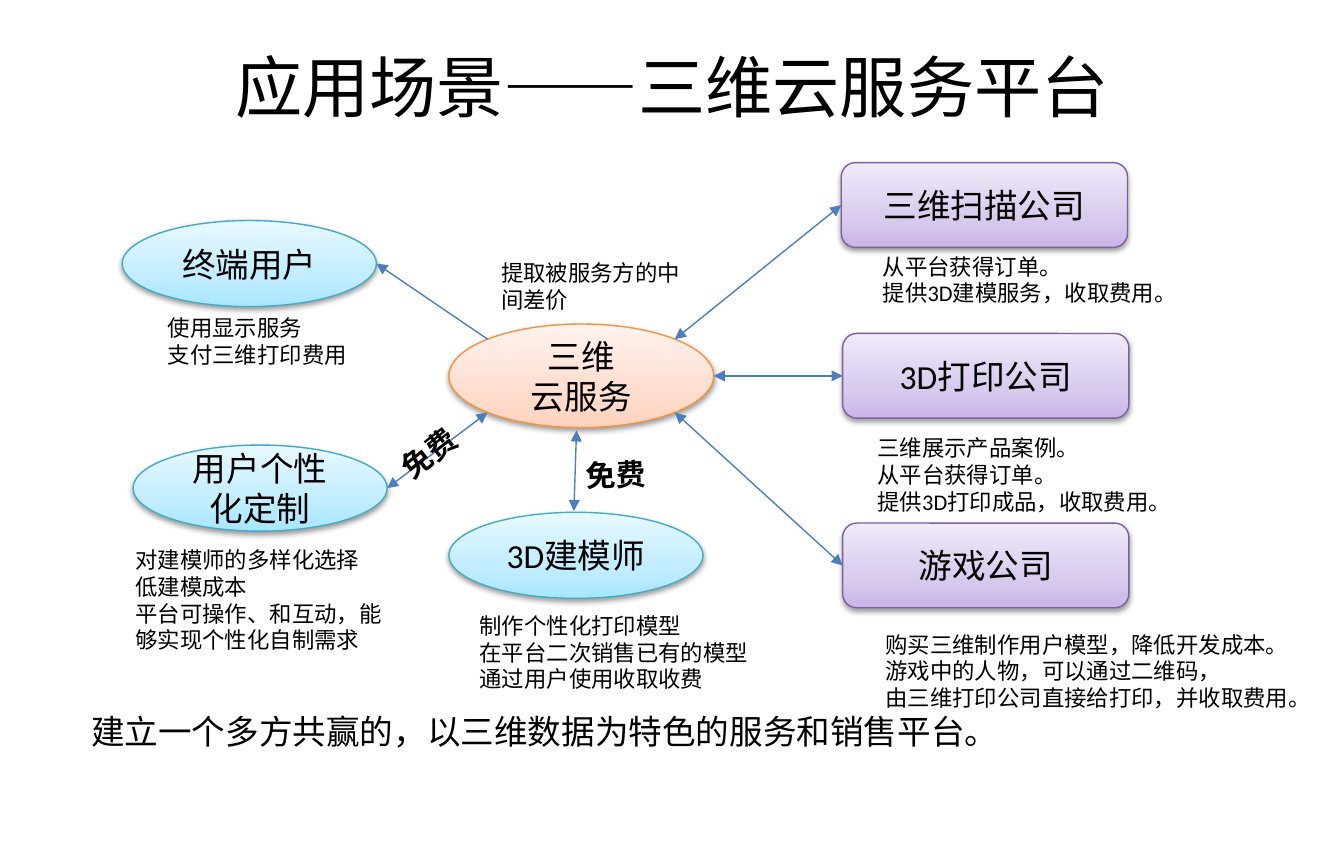
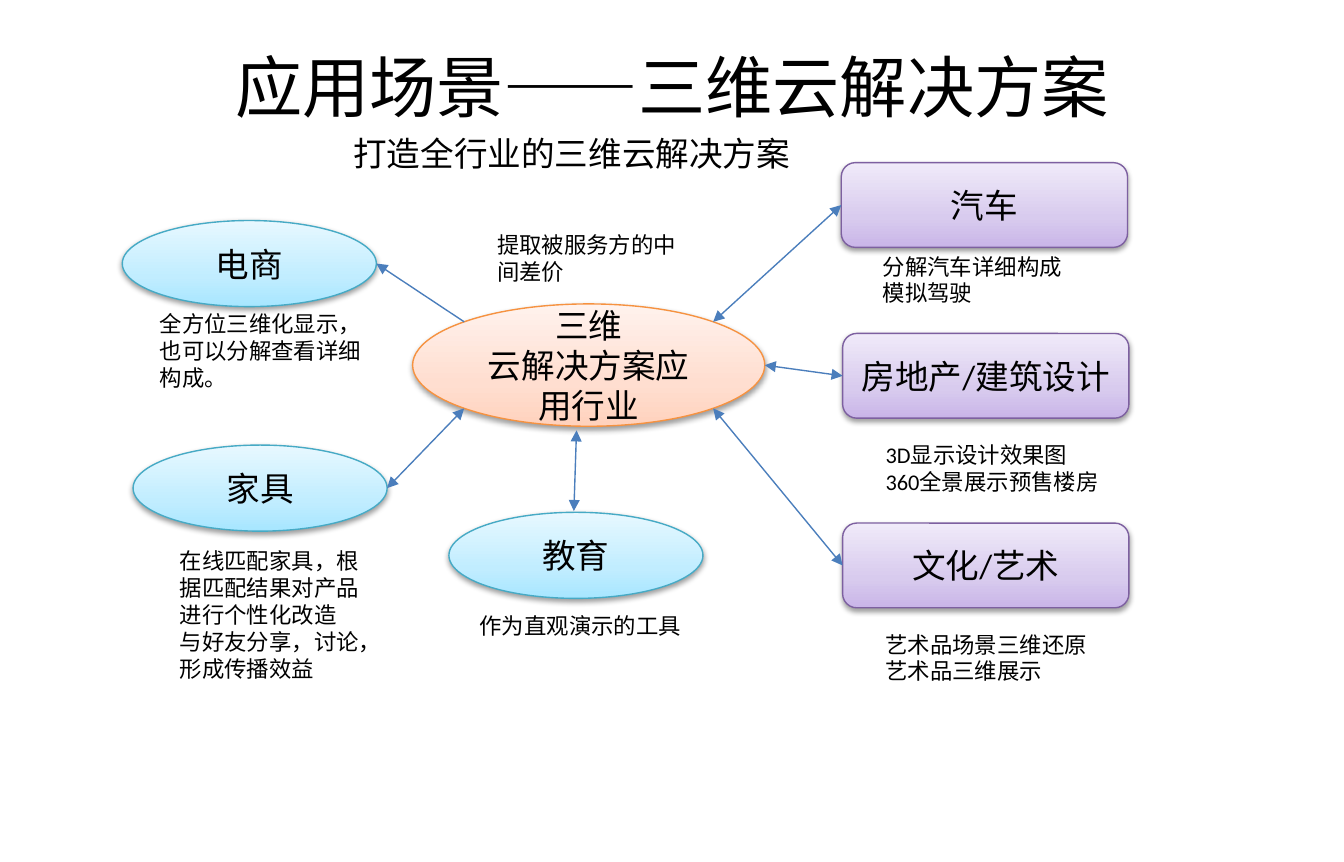
from dataclasses import dataclass
from math import sqrt

from lxml.etree import SubElement
from pptx import Presentation
from pptx.dml.color import RGBColor
from pptx.enum.shapes import MSO_CONNECTOR, MSO_SHAPE
from pptx.enum.text import MSO_ANCHOR, MSO_AUTO_SIZE, PP_ALIGN
from pptx.oxml.ns import qn
from pptx.shapes.autoshape import Shape
from pptx.slide import Slide
from pptx.text.text import TextFrame
from pptx.util import Inches, Pt

FONT = "Calibri"
BLACK = RGBColor(0x00, 0x00, 0x00)
ARROW = RGBColor(0x4B, 0x7E, 0xBC)
GRADIENT_STOPS = (0, 35, 100)


@dataclass(frozen=True)
class Style:
    shape: MSO_SHAPE
    line: RGBColor
    gradient: tuple[RGBColor, RGBColor, RGBColor]


@dataclass(frozen=True)
class Box:
    x: float
    y: float
    w: float
    h: float

    def at(self, fx: float, fy: float) -> tuple[float, float]:
        return self.x + self.w * (1 + fx) / 2, self.y + self.h * (1 + fy) / 2


@dataclass(frozen=True)
class Note:
    box: Box
    lines: tuple[str, ...]
    size: int = 12
    wrap: bool = False
    bold: bool = False
    rotation: float = 0


@dataclass(frozen=True)
class Scene:
    title: str
    hub: Box
    hub_lines: tuple[str, ...]
    users: tuple[str, str, str]
    companies: tuple[str, str, str]
    notes: tuple[Note, ...]


HUB = Style(MSO_SHAPE.OVAL, RGBColor(0xF6, 0x92, 0x40),
            (RGBColor(0xFF, 0xD2, 0xBD), RGBColor(0xFF, 0xDE, 0xD0), RGBColor(0xFF, 0xF2, 0xED)))
USER = Style(MSO_SHAPE.OVAL, RGBColor(0x46, 0xAA, 0xC5),
             (RGBColor(0xA7, 0xE6, 0xFF), RGBColor(0xC1, 0xED, 0xFF), RGBColor(0xE7, 0xF8, 0xFF)))
COMPANY = Style(MSO_SHAPE.ROUNDED_RECTANGLE, RGBColor(0x7D, 0x60, 0xA0),
                (RGBColor(0xC9, 0xB5, 0xE8), RGBColor(0xD8, 0xCB, 0xEE), RGBColor(0xF0, 0xEA, 0xF9)))

TITLE_BOX = Box(0.5, 0.26, 9, 0.75)
USER_BOXES = tuple(Box(x, y, 1.89, 0.64) for x, y in ((0.91, 1.64), (0.99, 3.31), (3.34, 3.81)))
COMPANY_BOXES = tuple(Box(x, y, 2.13, 0.63) for x, y in ((6.26, 1.21), (6.27, 2.48), (6.27, 3.89)))
DIAGONAL = 1 / sqrt(2)
COMPANY_HUB_POINTS = ((DIAGONAL, -DIAGONAL), (1, 0), (DIAGONAL, DIAGONAL))

SCENES = (
    Scene(
        "应用场景——三维云服务平台",
        Box(3.34, 2.41, 1.97, 0.77),
        ("三维", "云服务"),
        ("终端用户", "用户个性化定制", "3D建模师"),
        ("三维扫描公司", "3D打印公司", "游戏公司"),
        (
            Note(Box(1.15, 2.29, 1.55, 0.5), ("使用显示服务", "支付三维打印费用")),
            Note(Box(0.91, 4.01, 2.1, 0.91),
                 ("对建模师的多样化选择", "低建模成本", "平台可操作、和互动，能够实现个性化自制需求"), wrap=True),
            Note(Box(3.47, 4.5, 2.22, 0.71),
                 ("制作个性化打印模型", "在平台二次销售已有的模型", "通过用户使用收取收费")),
            Note(Box(6.47, 1.83, 2.41, 0.5), ("从平台获得订单。", "提供3D建模服务，收取费用。")),
            Note(Box(6.43, 3.18, 2.41, 0.71),
                 ("三维展示产品案例。", "从平台获得订单。", "提供3D打印成品，收取费用。")),
            Note(Box(6.49, 4.64, 3.4, 0.71),
                 ("购买三维制作用户模型，降低开发成本。", "游戏中的人物，可以通过二维码，",
                  "由三维打印公司直接给打印，并收取费用。")),
            Note(Box(3.63, 1.88, 1.56, 0.5), ("提取被服务方的中间差价",), wrap=True),
            Note(Box(0.58, 5.24, 7.02, 0.4),
                 ("建立一个多方共赢的，以三维数据为特色的服务和销售平台。",), size=18),
            Note(Box(4.26, 3.34, 0.85, 0.37), ("免费",), 16, True, True, 357.4),
            Note(Box(2.85, 3.12, 0.85, 0.37), ("免费",), 16, True, True, 321.6),
        ),
    ),
    Scene(
        "应用场景——三维云解决方案",
        Box(3.07, 2.26, 2.62, 0.91),
        ("三维", "云解决方案应用行业"),
        ("电商", "家具", "教育"),
        ("汽车", "房地产/建筑设计", "文化/艺术"),
        (
            Note(Box(1.09, 2.26, 1.8, 0.91), ("全方位三维化显示，也可以分解查看详细构成。",), wrap=True),
            Note(Box(1.24, 4.02, 1.56, 1.51),
                 ("在线匹配家具，根据匹配结果对产品进行个性化改造", "与好友分享，讨论，形成传播效益"), wrap=True),
            Note(Box(3.47, 4.5, 1.72, 0.5), ("作为直观演示的工具",)),
            Note(Box(6.47, 1.83, 1.55, 0.5), ("分解汽车详细构成", "模拟驾驶")),
            Note(Box(6.49, 3.23, 1.81, 0.5), ("3D显示设计效果图", "360全景展示预售楼房"), wrap=True),
            Note(Box(6.49, 4.64, 1.72, 0.71), ("艺术品场景三维还原", "艺术品三维展示")),
            Note(Box(3.6, 1.67, 1.56, 0.5), ("提取被服务方的中间差价",), wrap=True),
            Note(Box(2.53, 0.94, 3.48, 0.4), ("打造全行业的三维云解决方案",), size=18),
        ),
    ),
)


def lengths(*values: float) -> list[Inches]:
    return [Inches(v) for v in values]


def write(tf: TextFrame, lines: tuple[str, ...], size: int, align: PP_ALIGN, bold: bool = False) -> None:
    for i, line in enumerate(lines):
        p = tf.paragraphs[0] if i == 0 else tf.add_paragraph()
        p.alignment = align
        r = p.add_run()
        r.text = line
        r.font.name = FONT
        r.font.size = Pt(size)
        r.font.bold = bold
        r.font.color.rgb = BLACK


def add_textbox(s: Slide, box: Box) -> Shape:
    return s.shapes.add_textbox(*lengths(box.x, box.y, box.w, box.h))


def add_title(s: Slide, title: str) -> None:
    tf = add_textbox(s, TITLE_BOX).text_frame
    tf.word_wrap = True
    tf.vertical_anchor = MSO_ANCHOR.MIDDLE
    write(tf, (title,), 36, PP_ALIGN.CENTER)


def add_note(s: Slide, note: Note) -> None:
    sp = add_textbox(s, note.box)
    sp.rotation = note.rotation
    tf = sp.text_frame
    tf.word_wrap = note.wrap
    tf.auto_size = MSO_AUTO_SIZE.SHAPE_TO_FIT_TEXT
    write(tf, note.lines, note.size, PP_ALIGN.LEFT, note.bold)


def add_color(parent, color: RGBColor):
    return SubElement(parent, qn("a:srgbClr"), val=str(color))


def add_node(s: Slide, box: Box, style: Style, lines: tuple[str, ...]) -> Shape:
    sp = s.shapes.add_shape(style.shape, *lengths(box.x, box.y, box.w, box.h))
    sp.line.color.rgb = style.line
    sp.line.width = Pt(0.75)
    sp.fill.gradient()
    sp.fill.gradient_angle = 90
    stops = sp._element.spPr.find(".//" + qn("a:gsLst"))
    for stop in list(stops):
        stops.remove(stop)
    for pos, color in zip(GRADIENT_STOPS, style.gradient):
        add_color(SubElement(stops, qn("a:gs"), pos=str(pos * 1000)), color)
    sp.shadow.inherit = False
    effects = sp._element.spPr.find(qn("a:effectLst"))
    shadow = SubElement(effects, qn("a:outerShdw"), blurRad=str(Pt(3.1)), dist=str(Pt(1.6)),
                        dir="5400000", rotWithShape="0")
    SubElement(add_color(shadow, BLACK), qn("a:alpha"), val="38000")
    tf = sp.text_frame
    tf.word_wrap = True
    tf.vertical_anchor = MSO_ANCHOR.MIDDLE
    write(tf, lines, 18, PP_ALIGN.CENTER)
    return sp


def add_arrow(s: Slide, start: tuple[float, float], end: tuple[float, float],
              both: bool = True, source: Shape | None = None) -> None:
    c = s.shapes.add_connector(MSO_CONNECTOR.STRAIGHT, *lengths(*start, *end))
    if source is not None:
        c.begin_connect(source, 1)
    c.line.color.rgb = ARROW
    c.line.width = Pt(0.75)
    ln = c.line._get_or_add_ln()
    for tag in ("a:headEnd", "a:tailEnd") if both else ("a:tailEnd",):
        SubElement(ln, qn(tag), type="triangle")
    SubElement(c._element.spPr, qn("a:effectLst"))


def add_scene(prs: Presentation, scene: Scene) -> None:
    s = prs.slides.add_slide(prs.slide_layouts[6])
    add_title(s, scene.title)
    hub = scene.hub
    add_node(s, hub, HUB, scene.hub_lines)
    for box, name in zip(USER_BOXES, scene.users):
        add_node(s, box, USER, (name,))
    for box, name, point in zip(COMPANY_BOXES, scene.companies, COMPANY_HUB_POINTS):
        company = add_node(s, box, COMPANY, (name,))
        add_arrow(s, box.at(-1, 0), hub.at(*point), source=company)
    add_arrow(s, hub.at(-DIAGONAL, -DIAGONAL), USER_BOXES[0].at(1, 0), both=False)
    add_arrow(s, USER_BOXES[1].at(1, 0), hub.at(-DIAGONAL, DIAGONAL))
    add_arrow(s, (4.27, 3.8), (4.29, 3.2))
    for note in scene.notes:
        add_note(s, note)


def main() -> None:
    prs = Presentation()
    prs.slide_width, prs.slide_height = lengths(10, 6.41)
    for scene in SCENES:
        add_scene(prs, scene)
    prs.save("out.pptx")


if __name__ == "__main__":
    main()
